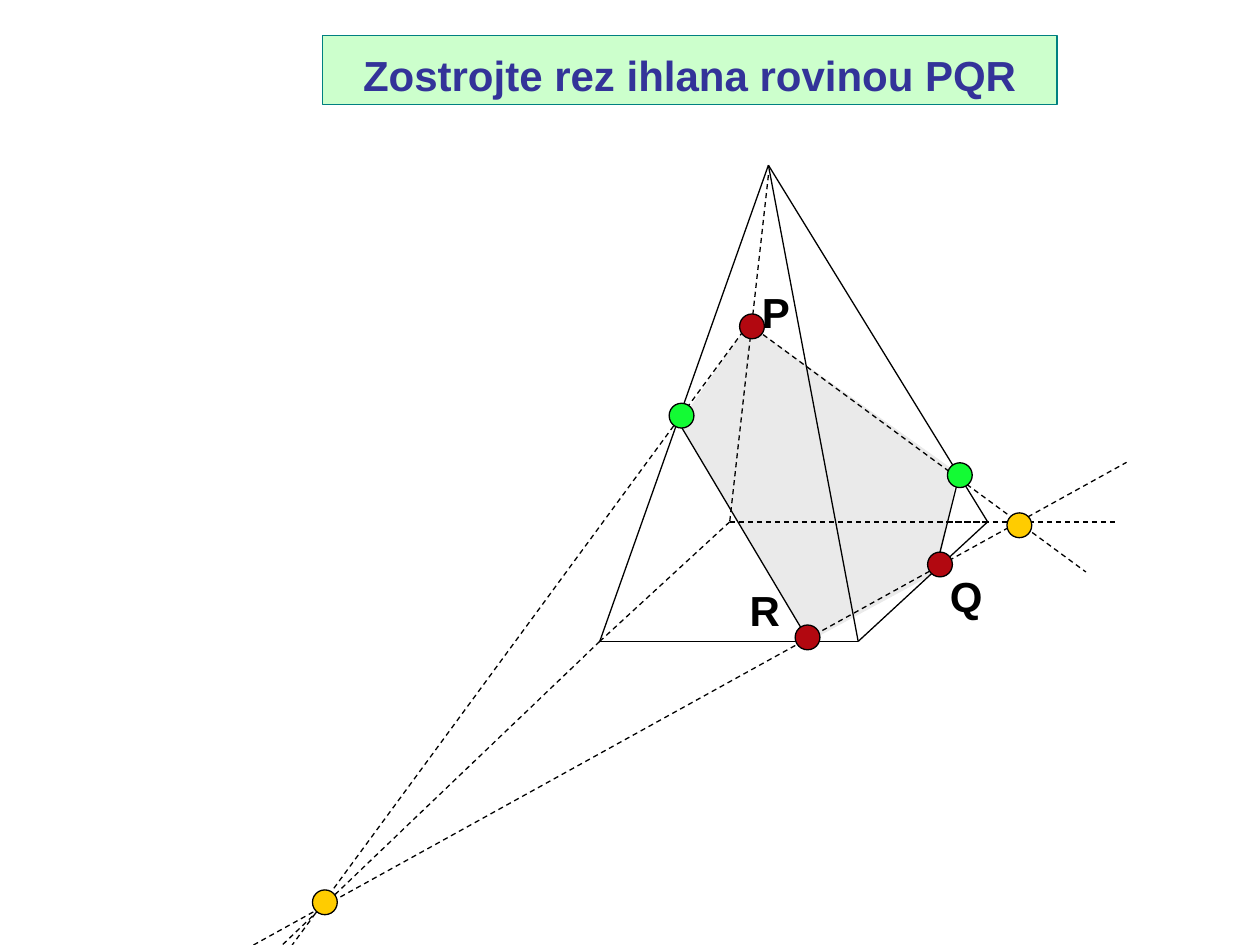
"""Build a slide showing the section of a pyramid by the plane PQR."""
import lxml.etree
import pptx
import pptx.dml.color
import pptx.enum.dml
import pptx.enum.shapes
import pptx.enum.text
import pptx.oxml.ns
import pptx.util

Cm = pptx.util.Cm
Pt = pptx.util.Pt


def colour(value):
    return pptx.dml.color.RGBColor.from_string(value)


def write(shape, text, value):
    para = shape.text_frame.paragraphs[0]
    para.text = text
    para.font.name = "Arial"
    para.font.size = Pt(24)
    para.font.bold = True
    para.font.color.rgb = colour(value)
    return para


deck = pptx.Presentation()
deck.slide_width = Cm(25.4)
deck.slide_height = Cm(19.05)
page = deck.slides.add_slide(deck.slide_layouts[6])

apex = (15.49, 3.33)
front_left, front_right = (12.09, 12.93), (17.3, 12.93)
back_left, back_right = (14.71, 10.52), (19.91, 10.52)
point_p, point_q, point_r = (15.09, 6.53), (18.9, 11.53), (16.31, 12.93)
left_cut, right_cut = (13.69, 8.53), (19.3, 9.53)

outline = [(Cm(x), Cm(y)) for x, y in (point_p, right_cut, point_q, point_r, left_cut)]
builder = page.shapes.build_freeform(*outline[0], scale=1.0)
builder.add_line_segments(outline[1:], close=True)
section = builder.convert_to_shape()
section.shadow.inherit = False
section.fill.solid()
section.fill.fore_color.rgb = colour("EAEAEA")
section.line.fill.background()

solid_lines = [
    (left_cut, point_r),
    ((19.3, 9.73), (18.9, 11.33)),
    (front_left, front_right),
    (back_right, front_right),
    (apex, front_left),
    (apex, front_right),
    (apex, back_right),
]
dashed_lines = [
    (point_p, (5.89, 19.05)),
    (point_p, (21.89, 11.53)),
    ((5.11, 19.05), (22.71, 9.32)),
    (back_left, back_right),
    (back_left, front_left),
    ((15.49, 3.53), back_left),
    ((19.1, 10.52), (22.5, 10.52)),
    (front_left, (5.69, 19.05)),
]
for lines, dash in ((solid_lines, None), (dashed_lines, pptx.enum.dml.MSO_LINE.DASH)):
    for start, end in lines:
        edge = page.shapes.add_connector(
            pptx.enum.shapes.MSO_CONNECTOR.STRAIGHT, *map(Cm, start + end)
        )
        edge.line.color.rgb = colour("000000")
        edge.line.width = Pt(0.75)
        edge.line.dash_style = dash
        lxml.etree.SubElement(edge._element.spPr, pptx.oxml.ns.qn("a:effectLst"))

diameter = 0.5
dots = {
    "B20810": [(16.28, 12.85), (18.95, 11.38), (15.16, 6.58)],
    "FFCC00": [(20.55, 10.59), (6.55, 18.19)],
    "13FB34": [(19.35, 9.58), (13.74, 8.38)],
}
for value, centres in dots.items():
    for x, y in centres:
        dot = page.shapes.add_shape(
            pptx.enum.shapes.MSO_SHAPE.OVAL,
            Cm(x - diameter / 2), Cm(y - diameter / 2), Cm(diameter), Cm(diameter),
        )
        dot.shadow.inherit = False
        dot.fill.solid()
        dot.fill.fore_color.rgb = colour(value)
        dot.line.color.rgb = colour("000000")
        dot.line.width = Pt(0.75)

for text, left, top, width in (
    ("P", 15.11, 5.66, 1.07),
    ("Q", 18.9, 11.38, 1.17),
    ("R", 14.86, 11.66, 1.12),
):
    label = page.shapes.add_textbox(Cm(left), Cm(top), Cm(width), Cm(1.27))
    label.text_frame.word_wrap = False
    write(label, text, "000000")

title = page.shapes.add_shape(
    pptx.enum.shapes.MSO_SHAPE.RECTANGLE, Cm(6.5), Cm(0.71), Cm(14.81), Cm(1.4)
)
title.shadow.inherit = False
title.fill.solid()
title.fill.fore_color.rgb = colour("CCFFCC")
title.line.color.rgb = colour("008080")
title.line.width = Pt(0.75)
title.text_frame.margin_top = Cm(0.25)
title.text_frame.margin_bottom = Cm(0.07)
title.text_frame.vertical_anchor = pptx.enum.text.MSO_ANCHOR.MIDDLE
heading = write(title, "Zostrojte rez ihlana rovinou PQR", "333399")
heading.alignment = pptx.enum.text.PP_ALIGN.CENTER

deck.save("out.pptx")
